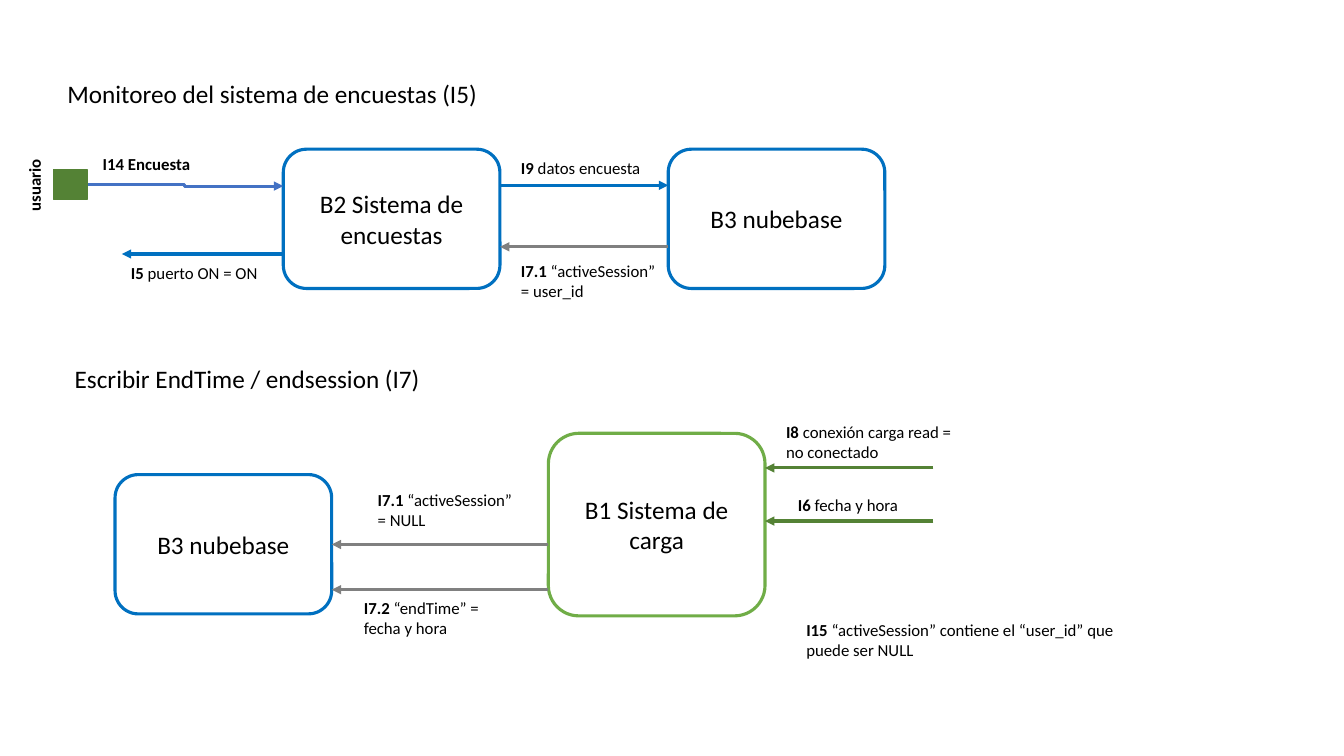
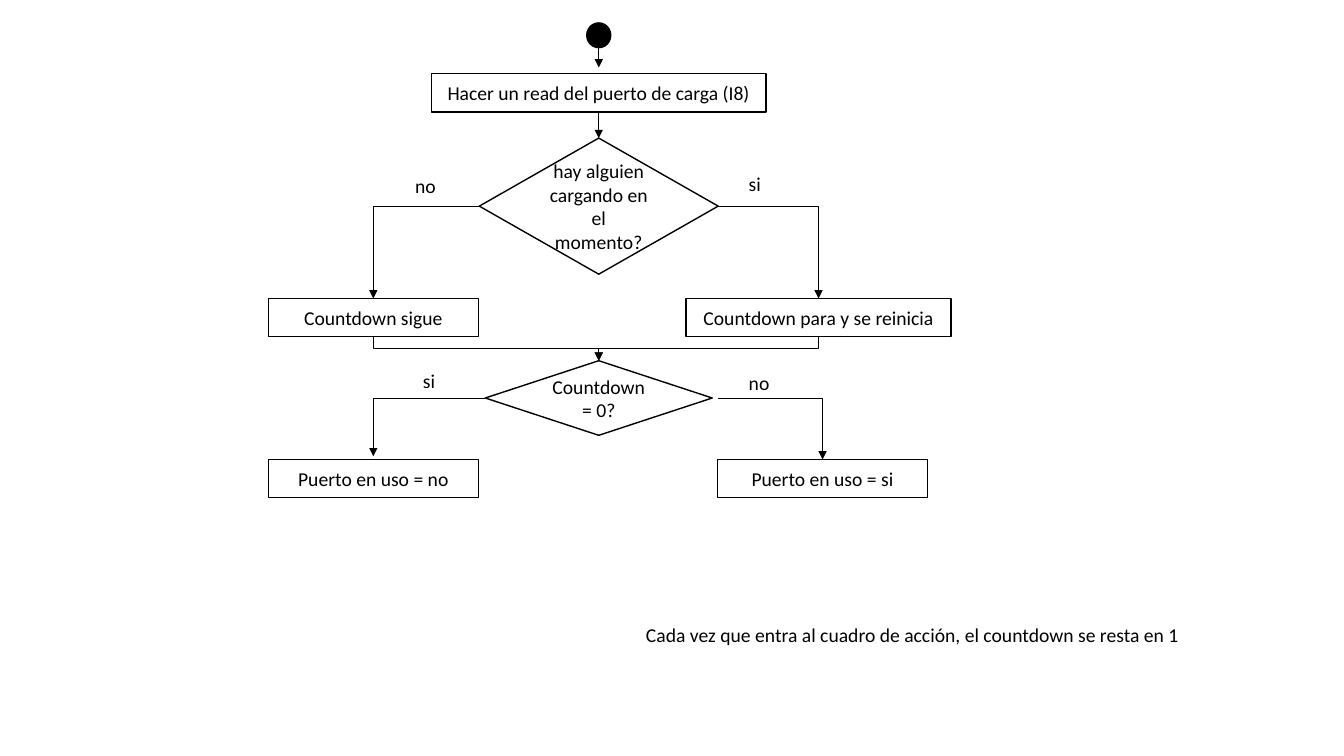
from dataclasses import dataclass

from lxml.etree import SubElement
from pptx import Presentation
from pptx.dml.color import RGBColor
from pptx.enum.shapes import MSO_CONNECTOR, MSO_SHAPE
from pptx.enum.text import MSO_ANCHOR, PP_ALIGN
from pptx.oxml.ns import qn
from pptx.slide import Slide
from pptx.util import Cm, Pt

# Shared look
FONT = "Calibri"
BLACK = RGBColor(0x00, 0x00, 0x00)
WHITE = RGBColor(0xFF, 0xFF, 0xFF)
BLUE = RGBColor(0x00, 0x70, 0xC0)
INDIGO = RGBColor(0x44, 0x72, 0xC4)
GRAY = RGBColor(0x80, 0x80, 0x80)
GREEN = RGBColor(0x70, 0xAD, 0x47)
DARK_GREEN = RGBColor(0x54, 0x82, 0x35)

HEADING_SIZE, FLOW_SIZE, SIGNAL_SIZE = 18, 14, 12
THICK, MEDIUM, THIN = 2.25, 1, 0.5
BLOCK_W, BLOCK_H = 5.46, 3.51
STEP_W, STEP_H = 5.3, 0.96
DATABASE = "B3 nubebase"


def write(frame, size, runs, align):
    """Fill a frame with (text, bold) runs."""
    frame.word_wrap = True
    paragraph = frame.paragraphs[0]
    paragraph.alignment = align
    for text, bold in runs:
        run = paragraph.add_run()
        run.text = text
        run.font.name = FONT
        run.font.size = Pt(size)
        run.font.bold = bold
        run.font.color.rgb = BLACK


@dataclass
class Region:
    """Part of a slide; all positions are in cm from its top left corner."""
    slide: Slide
    left: float
    top: float

    def at(self, x, y):
        return Cm(self.left + x), Cm(self.top + y)

    def node(self, kind, x, y, w, h, fill=WHITE, line=BLACK, weight=MEDIUM,
             text="", size=FLOW_SIZE):
        shape = self.slide.shapes.add_shape(kind, *self.at(x, y), Cm(w), Cm(h))
        shape.shadow.inherit = False
        shape.fill.solid()
        shape.fill.fore_color.rgb = fill
        shape.line.color.rgb = line
        shape.line.width = Pt(weight)
        if text:
            shape.text_frame.vertical_anchor = MSO_ANCHOR.MIDDLE
            write(shape.text_frame, size, [(text, False)], PP_ALIGN.CENTER)
        return shape

    def label(self, x, y, w, h, size, *runs, align=PP_ALIGN.LEFT):
        box = self.slide.shapes.add_textbox(*self.at(x, y), Cm(w), Cm(h))
        write(box.text_frame, size, runs, align)
        return box

    def arrow(self, start, end, color=BLACK, weight=THIN,
              kind=MSO_CONNECTOR.STRAIGHT):
        connector = self.slide.shapes.add_connector(
            kind, *self.at(*start), *self.at(*end))
        connector.line.color.rgb = color
        connector.line.width = Pt(weight)
        properties = connector._element.spPr
        SubElement(properties.find(qn("a:ln")), qn("a:tailEnd"),
                   type="triangle")
        SubElement(properties, qn("a:effectLst"))
        return properties

    def corner_arrow(self, start, end):
        """Go sideways, then down."""
        properties = self.arrow(start, end, kind=MSO_CONNECTOR.ELBOW)
        properties.find(qn("a:prstGeom")).set("prst", "bentConnector2")

    def merge_arrow(self, start, end):
        """Go down, sideways and down: an elbow turned by a quarter."""
        (x1, y1), (x2, y2) = start, end
        mid_x, mid_y = (x1 + x2) / 2, (y1 + y2) / 2
        half_w, half_h = (y2 - y1) / 2, abs(x2 - x1) / 2
        rightward = x2 > x1
        if rightward:
            half_w = -half_w
        properties = self.arrow((mid_x - half_w, mid_y - half_h),
                                (mid_x + half_w, mid_y + half_h),
                                kind=MSO_CONNECTOR.ELBOW)
        degrees = 270 if rightward else 90
        properties.find(qn("a:xfrm")).set("rot", str(degrees * 60000))

    # Parts of the block diagrams
    def block(self, x, y, text, color=BLUE, h=BLOCK_H):
        self.node(MSO_SHAPE.ROUNDED_RECTANGLE, x, y, BLOCK_W, h, line=color,
                  weight=THICK, text=text, size=HEADING_SIZE)

    def signal(self, start_x, end_x, y, color):
        self.arrow((start_x, y), (end_x, y), color, THICK)

    def signal_label(self, x, y, w, code, text, h=0.76):
        self.label(x, y, w, h, SIGNAL_SIZE, (code, True), (text, False))

    # Parts of the flowchart
    def step(self, center, y, text, w=STEP_W):
        self.node(MSO_SHAPE.RECTANGLE, center - w / 2, y, w, STEP_H, text=text)

    def decision(self, center, y, w, h, text):
        self.node(MSO_SHAPE.DIAMOND, center - w / 2, y, w, h, text=text)


def survey_monitoring(slide, left, top):
    region = Region(slide, left, top)
    system_x, database_x, block_y = 5.79, 15.49, 1.91
    system_right = system_x + BLOCK_W
    region.label(0.1, 0, 14.48, 1.8, HEADING_SIZE,
                 ("Monitoreo del sistema de encuestas (I5)", False))
    region.block(system_x, block_y, "B2 Sistema de encuestas")
    region.block(database_x, block_y, DATABASE)

    # User and survey
    region.arrow((0.81, 2.8), (system_x, 2.84), INDIGO, THICK,
                 MSO_CONNECTOR.ELBOW)
    region.node(MSO_SHAPE.RECTANGLE, 0, 2.42, 0.84, 0.76, DARK_GREEN,
                DARK_GREEN)
    user = region.label(-2.32, 2.44, 3.66, 0.76, SIGNAL_SIZE,
                        ("usuario", True), align=PP_ALIGN.CENTER)
    user.rotation = 270
    region.label(0.99, block_y, BLOCK_W, 0.76, SIGNAL_SIZE,
                 ("I14 Encuesta", True))

    # Signals between the blocks
    region.signal(system_right, database_x, 2.82, BLUE)
    region.signal_label(11.53, 1.99, 3.66, "I9", " datos encuesta")
    region.signal(database_x, system_right, 4.37, GRAY)
    region.signal_label(11.53, 4.6, 3.96, "I7.1",
                        " “activeSession” = user_id", 1.27)
    region.signal(system_x, 1.72, 4.55, BLUE)
    region.signal_label(1.7, 4.65, 3.96, "I5", " puerto ON = ON")


def session_end(slide, left, top):
    region = Region(slide, left, top)
    charger_x = 10.92
    charger_right = charger_x + BLOCK_W
    region.label(-5.14, 0, 16.94, 1.02, HEADING_SIZE,
                 ("Escribir EndTime / endsession (I7)", False),
                 align=PP_ALIGN.CENTER)
    region.block(0, 2.94, DATABASE)
    region.block(charger_x, 1.9, "B1 Sistema de carga", GREEN, 4.6)

    # Inputs of the charger
    for y in (2.77, 4.11):
        region.signal(20.62, charger_right, y, DARK_GREEN)
    region.signal_label(16.66, 1.47, 4.75, "I8",
                        " conexión carga read = no conectado", 1.27)
    region.signal_label(16.96, 3.32, 3.66, "I6", " fecha y hora")

    # Writes to the database
    for y in (4.7, 5.84):
        region.signal(charger_x, BLOCK_W, y, GRAY)
    region.signal_label(6.37, 3.2, 3.96, "I7.1",
                        " “activeSession” = NULL", 1.27)
    region.signal_label(6.02, 5.92, 3.96, "I7.2",
                        " “endTime” = fecha y hora", 1.27)
    region.signal_label(
        17.17, 6.47, 9.17, "I15",
        " “activeSession” contiene el “user_id” que puede ser NULL", 1.27)


def countdown_flow(slide, left, top):
    region = Region(slide, left, top)
    middle, left_column, right_column, last_right = 8.33, 2.65, 13.87, 13.97
    read_y, charging_y, action_y, zero_y, result_y = 1.3, 2.92, 6.96, 8.53, 11.02
    charging_w, charging_h, zero_w, zero_h = 6.02, 3.43, 5.72, 1.88
    charging_mid = charging_y + charging_h / 2
    zero_mid = zero_y + zero_h / 2
    charging_left, charging_right = (middle - charging_w / 2,
                                     middle + charging_w / 2)

    # Start and reading
    start = region.node(MSO_SHAPE.OVAL, middle - 0.32, 0, 0.64, 0.66, BLACK)
    start.line.fill.background()
    region.arrow((middle, 0.66), (middle, 1.14))
    region.step(middle, read_y, "Hacer un read del puerto de carga (I8)", 8.43)
    region.arrow((middle, read_y + STEP_H), (middle, charging_y))

    # Is anyone charging?
    region.decision(middle, charging_y, charging_w, charging_h,
                    "hay alguien cargando en el momento?")
    region.step(left_column, action_y, "Countdown sigue")
    region.step(right_column, action_y, "Countdown para y se reinicia", 6.68)
    for edge, column in ((charging_left, left_column),
                         (charging_right, right_column)):
        region.corner_arrow((edge, charging_mid), (column, action_y))
        region.merge_arrow((column, action_y + STEP_H), (middle, zero_y))

    # Has the countdown ended?
    region.decision(middle, zero_y, zero_w, zero_h, "Countdown = 0?")
    region.step(left_column, result_y, "Puerto en uso = no")
    region.step(last_right, result_y, "Puerto en uso = si")
    region.corner_arrow((middle - zero_w / 2, zero_mid),
                        (left_column, result_y - 0.08))
    region.corner_arrow((charging_right, zero_mid), (last_right, result_y))

    # Answers and note
    for answer, x, y in (("no", 3.45, 3.71), ("si", 11.86, 3.66),
                         ("si", 3.65, 8.61), ("no", 11.86, 8.66)):
        region.label(x, y, 1.83, 0.86, FLOW_SIZE, (answer, False))
    region.label(
        7.77, 15.01, 16.94, 0.86, FLOW_SIZE,
        ("Cada vez que entra al cuadro de acción, el countdown se resta en 1",
         False), align=PP_ALIGN.CENTER)


def main():
    deck = Presentation()
    deck.slide_width, deck.slide_height = Cm(33.87), Cm(19.05)
    blank = deck.slide_layouts[6]
    diagrams = deck.slides.add_slide(blank)
    survey_monitoring(diagrams, 1.35, 1.85)
    session_end(diagrams, 2.9, 9.02)
    countdown_flow(deck.slides.add_slide(blank), 6.76, 0.56)
    deck.save("out.pptx")


if __name__ == "__main__":
    main()
